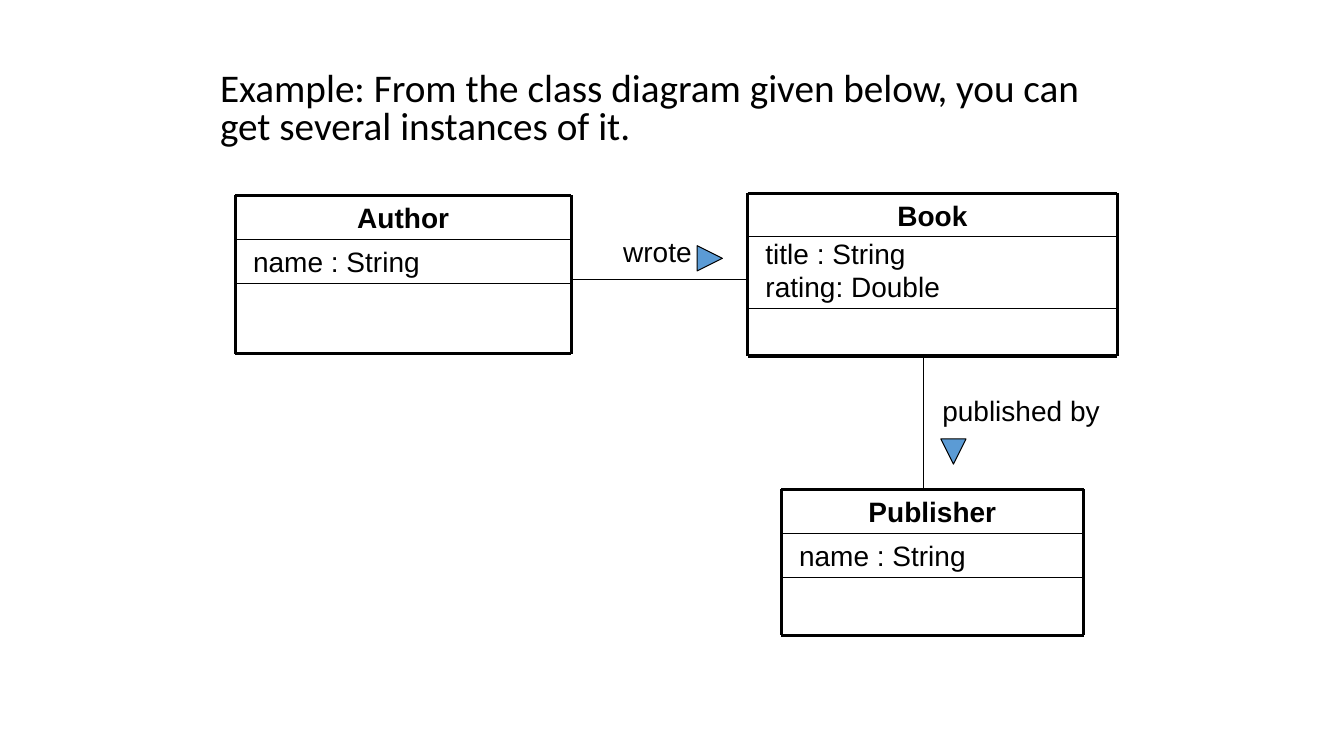
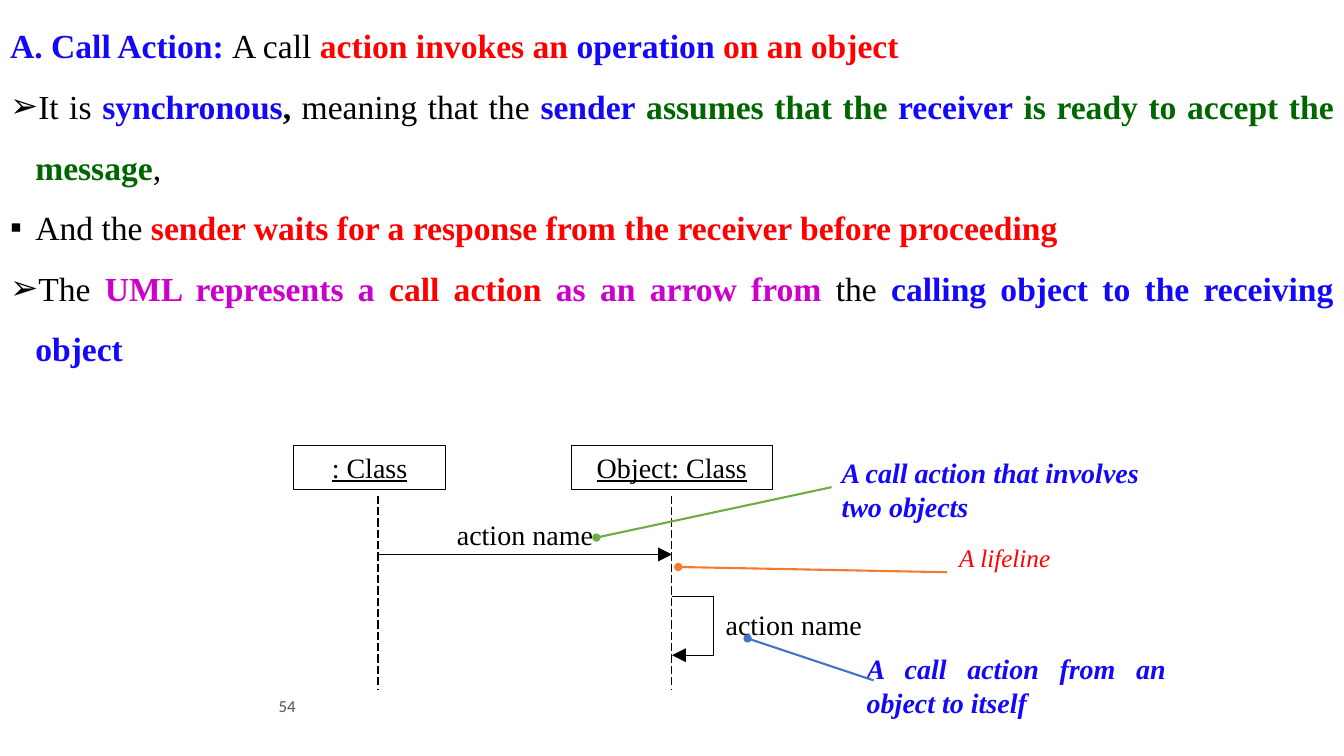
from dataclasses import dataclass
from lxml.etree import SubElement
from pptx import Presentation
from pptx.dml.color import RGBColor
from pptx.enum.dml import MSO_LINE
from pptx.enum.shapes import MSO_CONNECTOR, MSO_SHAPE
from pptx.enum.text import MSO_ANCHOR, MSO_AUTO_SIZE, PP_ALIGN
from pptx.oxml.ns import qn
from pptx.util import Pt

SCALE = 9525


@dataclass(frozen=True)
class Theme:
    black: str = "000000"
    blue: str = "1308F8"
    red: str = "FF0000"
    green: str = "006600"
    purple: str = "CC00CC"
    slate: str = "44546A"
    marker: str = "5B9BD5"
    leader_green: str = "70AD47"
    leader_blue: str = "4472C4"
    leader_orange: str = "ED7D31"
    sans: str = "Arial"
    serif: str = "Times New Roman"
    heading: str = "Calibri"
    title_size: int = 28
    body_size: int = 24
    label_size: int = 20
    note_size: int = 18
    number_size: int = 12
    thin: float = 0.75
    divider: float = 1
    leader: float = 1.5
    frame: float = 2.25


THEME = Theme()

EXAMPLE_TITLE = "Example: From the class diagram given below, you can get several instances of it."
CLASSES = [
    {"name": "Author", "box": (224, 186, 320, 151), "attributes": ["name : String"],
     "name_height": 42, "attribute_height": 42},
    {"name": "Book", "box": (712, 184, 352, 155), "attributes": ["title : String", "rating: Double"],
     "name_height": 41, "attribute_height": 69},
    {"name": "Publisher", "box": (744, 466, 288, 139), "attributes": ["name : String"],
     "name_height": 42, "attribute_height": 42},
]
ASSOCIATIONS = [
    {"label": "wrote", "line": (544, 266, 712, 266), "label_box": (584, 219, 88, 41),
     "marker": (664, 234), "rotation": 90},
    {"label": "published by", "line": (880, 339, 880, 466), "label_box": (888, 370, 192, 41),
     "marker": (896, 418), "rotation": 180},
]
MARKER_SIZE = 24

STYLES = {
    "plain": (THEME.black, False),
    "strong": (THEME.black, True),
    "blue": (THEME.blue, True),
    "red": (THEME.red, True),
    "green": (THEME.green, True),
    "purple": (THEME.purple, True),
}
CALL_TITLE = [("A. Call Action: ", "blue"), ("A call ", "plain"), ("action invokes an ", "red"),
              ("operation", "blue"), (" on an object", "red")]
CALL_POINTS = [
    ("➢", [("It is ", "plain"), ("synchronous", "blue"), (",", "strong"),
           (" meaning that the ", "plain"), ("sender", "blue"), (" assumes that the ", "green"),
           ("receiver", "blue"), (" is ready to accept the message", "green"), (",", "plain")]),
    ("▪", [("And the ", "plain"),
           ("sender waits for a response from the receiver before proceeding", "red")]),
    ("➢", [("The ", "plain"), ("UML represents a ", "purple"), ("call action ", "red"),
           ("as an arrow from ", "purple"), ("the ", "plain"),
           ("calling object to the receiving object", "blue")]),
]
OBJECTS = [(": Class", (280, 424, 144, 42)), ("Object: Class", (544, 424, 192, 42))]
LIFELINES = [360, 640]
LIFELINE_TOP, LIFELINE_BOTTOM = 472, 656
MESSAGES = [
    ((360, 528, 640, 528), "triangle"),
    ((640, 568, 680, 568), None),
    ((680, 568, 680, 624), None),
    ((680, 624, 640, 624), "triangle"),
]
ACTION_LABELS = [(392, 488, 216, 41), (648, 574, 216, 41)]
CALLOUTS = [
    ("A call action that involves two objects", (792, 429, 304, 74), PP_ALIGN.LEFT,
     THEME.label_size, THEME.blue, True),
    ("A call action from an object to itself", (816, 616, 304, 74), PP_ALIGN.JUSTIFY,
     THEME.label_size, THEME.blue, True),
    ("A lifeline", (904, 512, 160, 38), PP_ALIGN.LEFT, THEME.note_size, THEME.red, False),
]
LEADERS = [
    ((792, 464, 568, 512), THEME.leader_green),
    ((832, 648, 712, 608), THEME.leader_blue),
    ((902, 545, 646, 540), THEME.leader_orange),
]
TIP_SIZES = {"triangle": "lg", "oval": "med"}
PAGE_NUMBER = "54"


def px(*lengths):
    return [length * SCALE for length in lengths]


def rgb(colour):
    return RGBColor.from_string(colour)


def place(shape, box):
    shape.left, shape.top, shape.width, shape.height = px(*box)


def style_font(font, name, size, colour=THEME.black, bold=False, italic=False, underline=False):
    font.name, font.size = name, Pt(size)
    font.color.rgb = rgb(colour)
    font.bold, font.italic, font.underline = bold, italic, underline


def prepare_frame(frame, anchor=MSO_ANCHOR.TOP):
    frame.word_wrap = True
    frame.auto_size = MSO_AUTO_SIZE.NONE
    frame.vertical_anchor = anchor


def write_lines(frame, lines, align, font, spacing=1.0, before=0, anchor=MSO_ANCHOR.TOP):
    prepare_frame(frame, anchor)
    frame.text = "\n".join(lines)
    for index, para in enumerate(frame.paragraphs):
        para.alignment = align
        para.line_spacing = spacing
        para.space_before = Pt(before if index else 0)
        style_font(para.font, **font)


def add_text(page, box, lines, font, align=PP_ALIGN.LEFT, **layout):
    shape = page.shapes.add_textbox(*px(*box))
    write_lines(shape.text_frame, lines, align, font, **layout)
    return shape.text_frame


def add_figure(page, kind, box, weight, fill=None):
    shape = page.shapes.add_shape(kind, *px(*box))
    shape.shadow.inherit = False
    if fill:
        shape.fill.solid()
        shape.fill.fore_color.rgb = rgb(fill)
    else:
        shape.fill.background()
    shape.line.color.rgb = rgb(THEME.black)
    shape.line.width = Pt(weight)
    return shape


def add_line(page, ends, weight=THEME.thin, colour=THEME.black, dash=None, tip=None):
    line = page.shapes.add_connector(MSO_CONNECTOR.STRAIGHT, *px(*ends))
    line.line.color.rgb = rgb(colour)
    line.line.width = Pt(weight)
    if dash:
        line.line.dash_style = dash
    properties = line.element.spPr
    if tip:
        size = TIP_SIZES[tip]
        SubElement(properties.find(qn("a:ln")), qn("a:tailEnd"), type=tip, w=size, len=size)
    SubElement(properties, qn("a:effectLst"))


def write_spans(para, spans, bullet=None):
    para.alignment = PP_ALIGN.JUSTIFY
    para.line_spacing = 1.5
    para.space_before = Pt(0)
    if bullet:
        properties = para._p.get_or_add_pPr()
        indent = 24 * SCALE
        properties.set("marL", str(indent))
        properties.set("indent", str(-indent))
        SubElement(properties, qn("a:buChar"), char=bullet)
    para.font.name, para.font.size = THEME.serif, Pt(THEME.body_size)
    for text, style in spans:
        span = para.add_run()
        span.text = text
        colour, span.font.bold = STYLES[style]
        span.font.color.rgb = rgb(colour)


def add_class(page, item):
    left, top, width, height = item["box"]
    right, bottom = left + width, top + height
    name_height, attribute_height = item["name_height"], item["attribute_height"]
    attribute_top = top + name_height
    font = {"name": THEME.sans, "size": THEME.label_size}
    several = len(item["attributes"]) > 1
    frame = add_text(page, (left, attribute_top, width, attribute_height), item["attributes"],
                     font, spacing=0.85 if several else 1.0, before=3.5)
    frame.margin_left = 17 * SCALE
    add_text(page, (left, top, width, name_height), [item["name"]],
             {**font, "bold": True}, PP_ALIGN.CENTER)
    for y, weight in ((top, THEME.frame), (attribute_top, THEME.divider),
                      (attribute_top + attribute_height, THEME.divider), (bottom, THEME.frame)):
        add_line(page, (left, y, right, y), weight)
    for x in (left, right):
        add_line(page, (x, top, x, bottom), THEME.frame)


def build_class_diagram(deck):
    page = deck.slides.add_slide(deck.slide_layouts[5])
    title = page.shapes.title
    place(title, (200, 64, 840, 88))
    write_lines(title.text_frame, [EXAMPLE_TITLE], PP_ALIGN.LEFT,
                {"name": THEME.heading, "size": THEME.title_size}, spacing=0.8)
    for item in CLASSES:
        add_class(page, item)
    for link in ASSOCIATIONS:
        add_line(page, link["line"])
        marker = add_figure(page, MSO_SHAPE.ISOSCELES_TRIANGLE,
                            (*link["marker"], MARKER_SIZE, MARKER_SIZE), THEME.thin, THEME.marker)
        marker.rotation = link["rotation"]
        add_text(page, link["label_box"], [link["label"]],
                 {"name": THEME.sans, "size": THEME.label_size})


def build_call_action(deck):
    page = deck.slides.add_slide(deck.slide_layouts[1])
    title, body = page.shapes.title, page.placeholders[1]
    place(title, (0, 0, 1280, 58))
    place(body, (0, 58, 1280, 331))
    for shape in (title, body):
        prepare_frame(shape.text_frame)
    write_spans(title.text_frame.paragraphs[0], CALL_TITLE)
    for index, (bullet, spans) in enumerate(CALL_POINTS):
        frame = body.text_frame
        para = frame.add_paragraph() if index else frame.paragraphs[0]
        write_spans(para, spans, bullet)

    font = {"name": THEME.serif, "size": THEME.label_size}
    for name, box in OBJECTS:
        shape = add_figure(page, MSO_SHAPE.RECTANGLE, box, THEME.thin)
        write_lines(shape.text_frame, [name], PP_ALIGN.CENTER, {**font, "underline": True})
    for x in LIFELINES:
        add_line(page, (x, LIFELINE_TOP, x, LIFELINE_BOTTOM), dash=MSO_LINE.LONG_DASH)
    for ends, tip in MESSAGES:
        add_line(page, ends, tip=tip)
    for box in ACTION_LABELS:
        add_text(page, box, ["action name"], font, PP_ALIGN.CENTER)
    for text, box, align, size, colour, bold in CALLOUTS:
        add_text(page, box, [text], {"name": THEME.serif, "size": size, "colour": colour,
                                     "bold": bold, "italic": True}, align)
    for ends, colour in LEADERS:
        add_line(page, ends, THEME.leader, colour, tip="oval")
    add_text(page, (256, 648, 416, 48), [PAGE_NUMBER],
             {"name": THEME.heading, "size": THEME.number_size, "colour": THEME.slate},
             anchor=MSO_ANCHOR.MIDDLE)


def main():
    deck = Presentation()
    deck.slide_width, deck.slide_height = px(1280, 720)
    build_class_diagram(deck)
    build_call_action(deck)
    deck.save("out.pptx")


if __name__ == "__main__":
    main()
